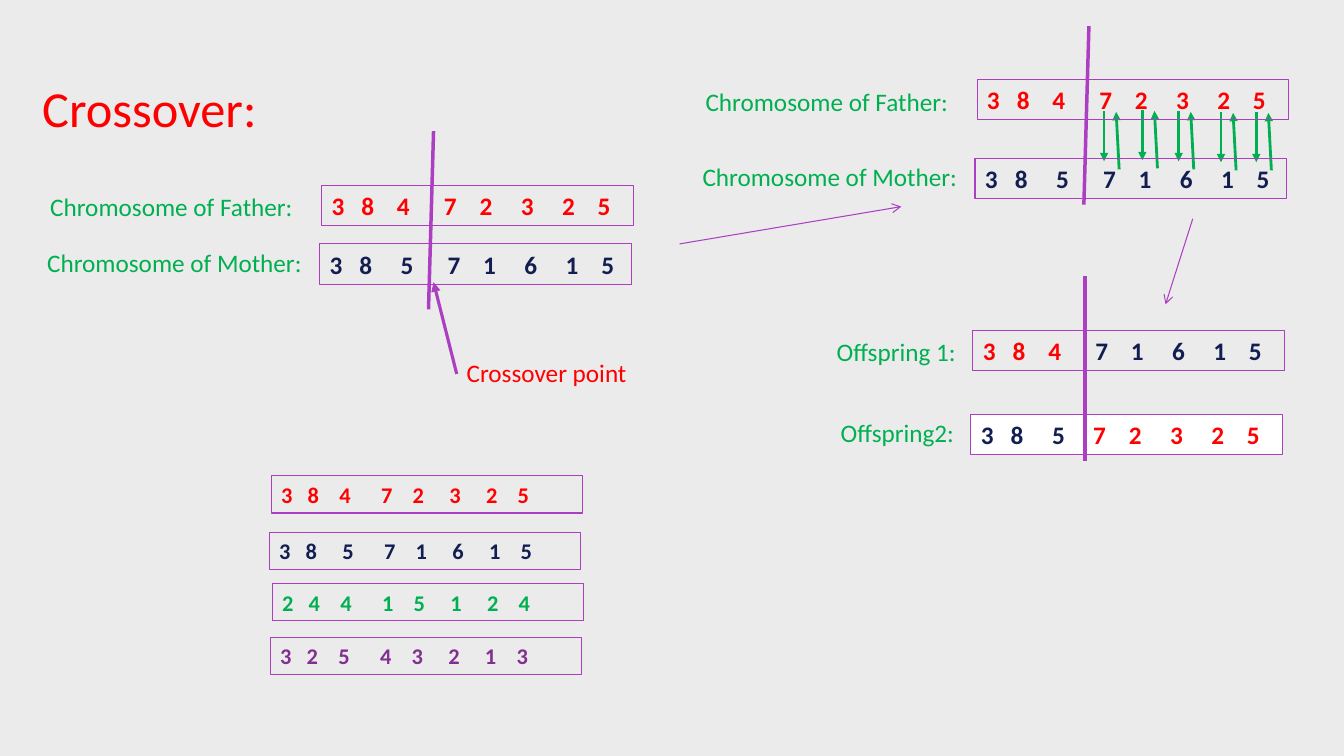
from lxml import etree
from pptx import Presentation
from pptx import util as u
from pptx.dml.color import RGBColor
from pptx.enum import shapes, text
from pptx.oxml.ns import qn

RED, NAVY, GREEN, PURPLE, VIOLET = "FF0000", "121D51", "00B050", "AC3EC1", "812F91"
FATHER, MOTHER = "38472325", "38571615"
# Space widths between neighbouring genes
FATHER_GAPS, MOTHER_GAPS = (3, 4, 6, 4, 5, 5, 4), (3, 5, 6, 4, 5, 5, 4)
CROSSED_GAPS = (3, 5, 5, 4, 5, 5, 4)
DIGIT_WIDTH, SPACE_WIDTH = 0.507, 0.226  # in ems


def add_text(shape, runs, size, bold=False, gaps=()):
    """Fill a shape with (text, colour) runs; gaps place one tab stop per gene."""
    frame = shape.text_frame
    frame.word_wrap = True
    paragraph = frame.paragraphs[0]
    paragraph.alignment = text.PP_ALIGN.LEFT
    if gaps:
        tab_list = etree.SubElement(paragraph._p.get_or_add_pPr(), qn("a:tabLst"))
        position = 0
        for gap in gaps:
            position += (DIGIT_WIDTH + gap * SPACE_WIDTH) * size / 72
            etree.SubElement(tab_list, qn("a:tab"), pos=str(u.Inches(position)), algn="l")
    for wording, colour in runs:
        run = paragraph.add_run()
        run.text = wording
        run.font.name = "Calibri"
        run.font.size = u.Pt(size)
        run.font.bold = bold
        run.font.color.rgb = RGBColor.from_string(colour)


def add_line(start, end, colour, width, head=None):
    line = slide.shapes.add_connector(
        shapes.MSO_CONNECTOR.STRAIGHT, *[u.Inches(value) for value in (*start, *end)])
    line.line.color.rgb = RGBColor.from_string(colour)
    line.line.width = u.Pt(width)
    if head:
        etree.SubElement(line.line._get_or_add_ln(), qn("a:tailEnd"), type=head)
    etree.SubElement(line._element.spPr, qn("a:effectLst"))


presentation = Presentation()
presentation.slide_width = u.Inches(13.33)
presentation.slide_height = u.Inches(7.5)
slide = presentation.slides.add_slide(presentation.slide_layouts[6])
slide.background.fill.solid()
slide.background.fill.fore_color.rgb = RGBColor.from_string("EBEBEB")

# Title and labels
labels = [
    ("Crossover:", 0.32, 0.72, 4.24, 0.71, 36, RED),
    ("Chromosome of Father:", 0.4, 1.85, 2.76, 0.4, 18, GREEN),
    ("Chromosome of Mother:", 0.37, 2.4, 2.76, 0.4, 18, GREEN),
    ("Crossover point", 4.53, 3.5, 1.89, 0.4, 18, RED),
    ("Chromosome of Father:", 6.9, 0.81, 2.76, 0.4, 18, GREEN),
    ("Chromosome of Mother:", 6.87, 1.55, 2.76, 0.4, 18, GREEN),
    ("Offspring 1:", 8.2, 3.29, 1.65, 0.4, 18, GREEN),
    ("Offspring2:", 8.24, 4.09, 1.41, 0.4, 18, GREEN),
]
for wording, left, top, width, height, size, colour in labels:
    label = slide.shapes.add_textbox(
        u.Inches(left), u.Inches(top), u.Inches(width), u.Inches(height))
    add_text(label, [(wording, colour)], size)

# Arrows between the stages
add_line((6.74, 2.42), (8.94, 2.05), PURPLE, 0.75, "arrow")
add_line((11.83, 2.17), (11.56, 3.02), PURPLE, 0.75, "arrow")

# Gene swaps: one arrow down and one back up for each gene
for x, y in [(10.95, 1.1), (11.33, 1.09), (11.69, 1.1), (12.11, 1.11), (12.46, 1.11)]:
    add_line((x, y), (x, y + 0.5), GREEN, 2, "triangle")
    add_line((x + 0.15, y + 0.58), (x + 0.12, y + 0.01), GREEN, 2, "triangle")

# Chromosomes: genes, gaps, colours before and after the crossover point, fill
pairs = [
    (3.19, 1.84, FATHER, FATHER_GAPS, RED, RED, None),
    (3.17, 2.42, MOTHER, MOTHER_GAPS, NAVY, NAVY, None),
    (9.69, 0.79, FATHER, FATHER_GAPS, RED, RED, None),
    (9.67, 1.57, MOTHER, MOTHER_GAPS, NAVY, NAVY, None),
    (9.65, 3.28, FATHER[:3] + MOTHER[3:], FATHER_GAPS, RED, NAVY, None),
    (9.63, 4.11, MOTHER[:3] + FATHER[3:], CROSSED_GAPS, NAVY, RED, "FFFFFF"),
]
population = [
    (2.69, 4.72, FATHER, FATHER_GAPS, RED, RED, None),
    (2.67, 5.28, MOTHER, MOTHER_GAPS, NAVY, NAVY, None),
    (2.7, 5.79, "24415124", FATHER_GAPS, GREEN, GREEN, None),
    (2.68, 6.32, "32543213", FATHER_GAPS, VIOLET, VIOLET, None),
]
population_group = slide.shapes.add_group_shape()
for parent, chromosomes, height, size in [
        (slide, pairs, 0.4, 18), (population_group, population, 0.37, 16)]:
    for left, top, genes, gaps, first, second, fill in chromosomes:
        box = parent.shapes.add_shape(
            shapes.MSO_SHAPE.RECTANGLE,
            u.Inches(left), u.Inches(top), u.Inches(3.09), u.Inches(height))
        box.shadow.inherit = False
        box.line.color.rgb = RGBColor.from_string(PURPLE)
        box.line.width = u.Pt(0.75)
        if fill:
            box.fill.solid()
            box.fill.fore_color.rgb = RGBColor.from_string(fill)
        else:
            box.fill.background()
        if first == second:
            runs = [("\t".join(genes), first)]
        else:
            runs = [("\t".join(genes[:3]) + "\t", first), ("\t".join(genes[3:]), second)]
        add_text(box, runs, size, True, gaps)

# Crossover lines and the pointer to the crossover point
add_line((4.3, 1.3), (4.25, 3.07), PURPLE, 2.5)
add_line((10.8, 0.26), (10.75, 2.03), PURPLE, 2.5)
add_line((10.76, 2.74), (10.76, 4.57), PURPLE, 2.5)
add_line((4.53, 3.71), (4.3, 2.8), PURPLE, 2.25, "triangle")

presentation.save("out.pptx")
